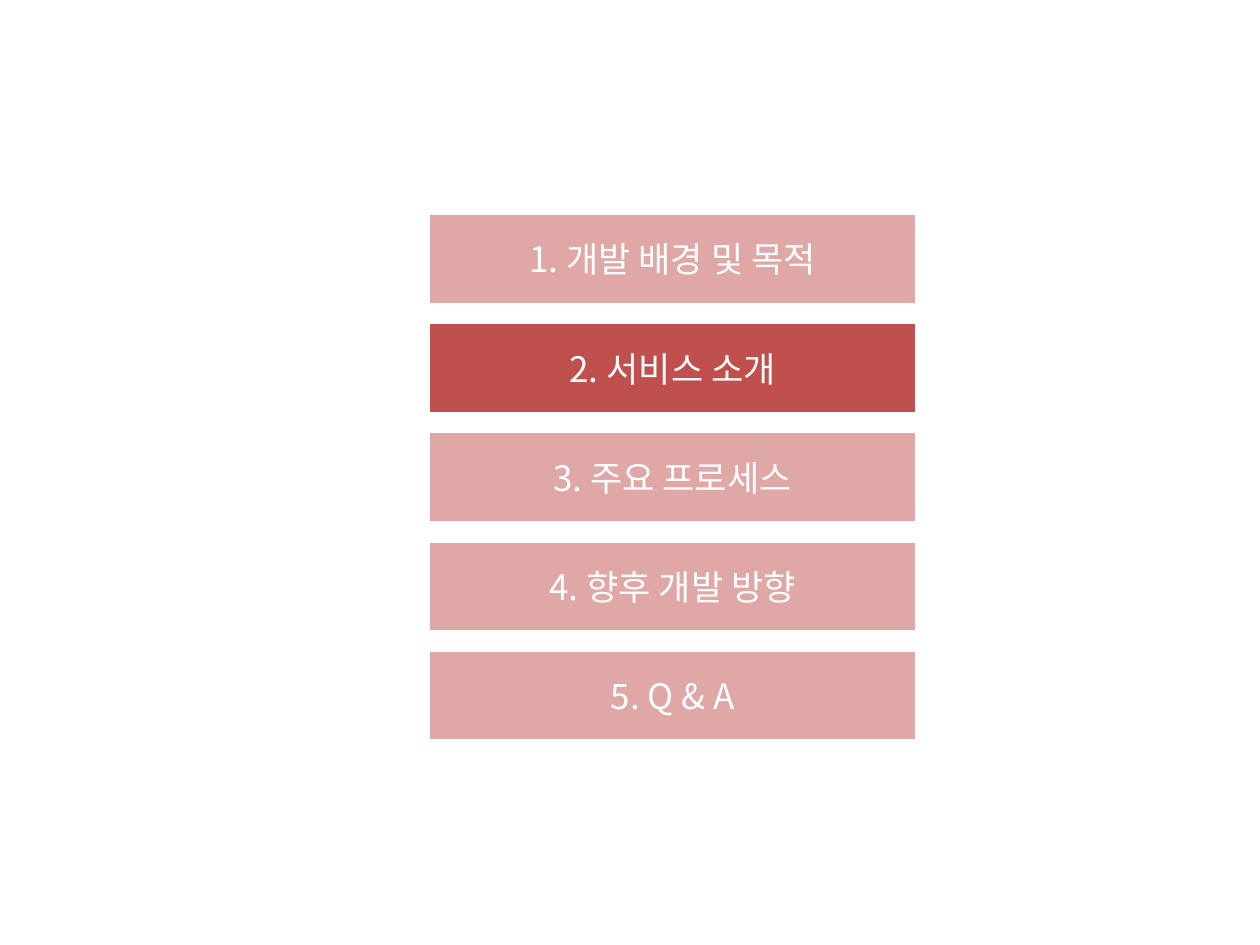
import pptx
import pptx.util
import pptx.dml.color
import pptx.enum.shapes
import pptx.enum.text
import pptx.oxml
import pptx.oxml.ns
from pptx.util import Cm

# Content
AGENDA = [
    "1. 개발 배경 및 목적",
    "2. 서비스 소개",
    "3. 주요 프로세스",
    "4. 향후 개발 방향",
    "5. Q & A",
]
CURRENT = 1

# Style
COLORS = {"bar": "C0504D", "white": "FFFFFF"}
FONT = "Noto Sans CJK KR"
FADED_ALPHA = 50000

# Layout
LEFT, TOP = Cm(8.66), Cm(4.32)
WIDTH, HEIGHT, PITCH = Cm(9.8), Cm(1.8), Cm(2.2)


def color(name):
    return pptx.dml.color.RGBColor.from_string(COLORS[name])


def fade(box):
    """Make the fill of a box half transparent."""
    fill_color = box._element.spPr.find(pptx.oxml.ns.qn("a:solidFill"))[0]
    alpha = pptx.oxml.parse_xml(
        f'<a:alpha {pptx.oxml.ns.nsdecls("a")} val="{FADED_ALPHA}"/>')
    fill_color.append(alpha)


def add_bar(page, index, text):
    box = page.shapes.add_shape(
        pptx.enum.shapes.MSO_SHAPE.RECTANGLE,
        LEFT, TOP + index * PITCH, WIDTH, HEIGHT)
    box.shadow.inherit = False
    box.fill.solid()
    box.fill.fore_color.rgb = color("bar")
    if index != CURRENT:
        fade(box)
    box.line.color.rgb = color("white")
    box.line.width = pptx.util.Pt(1)

    # Label
    frame = box.text_frame
    frame.vertical_anchor = pptx.enum.text.MSO_ANCHOR.MIDDLE
    para = frame.paragraphs[0]
    para.text = text
    para.alignment = pptx.enum.text.PP_ALIGN.CENTER
    para.font.size = pptx.util.Pt(20)
    para.font.name = FONT
    para.font.color.rgb = color("white")


def main():
    deck = pptx.Presentation()
    deck.slide_width, deck.slide_height = Cm(25.4), Cm(19.05)
    page = deck.slides.add_slide(deck.slide_layouts[6])

    # Agenda bars
    for index, text in enumerate(AGENDA):
        add_bar(page, index, text)

    deck.save("out.pptx")


if __name__ == "__main__":
    main()
